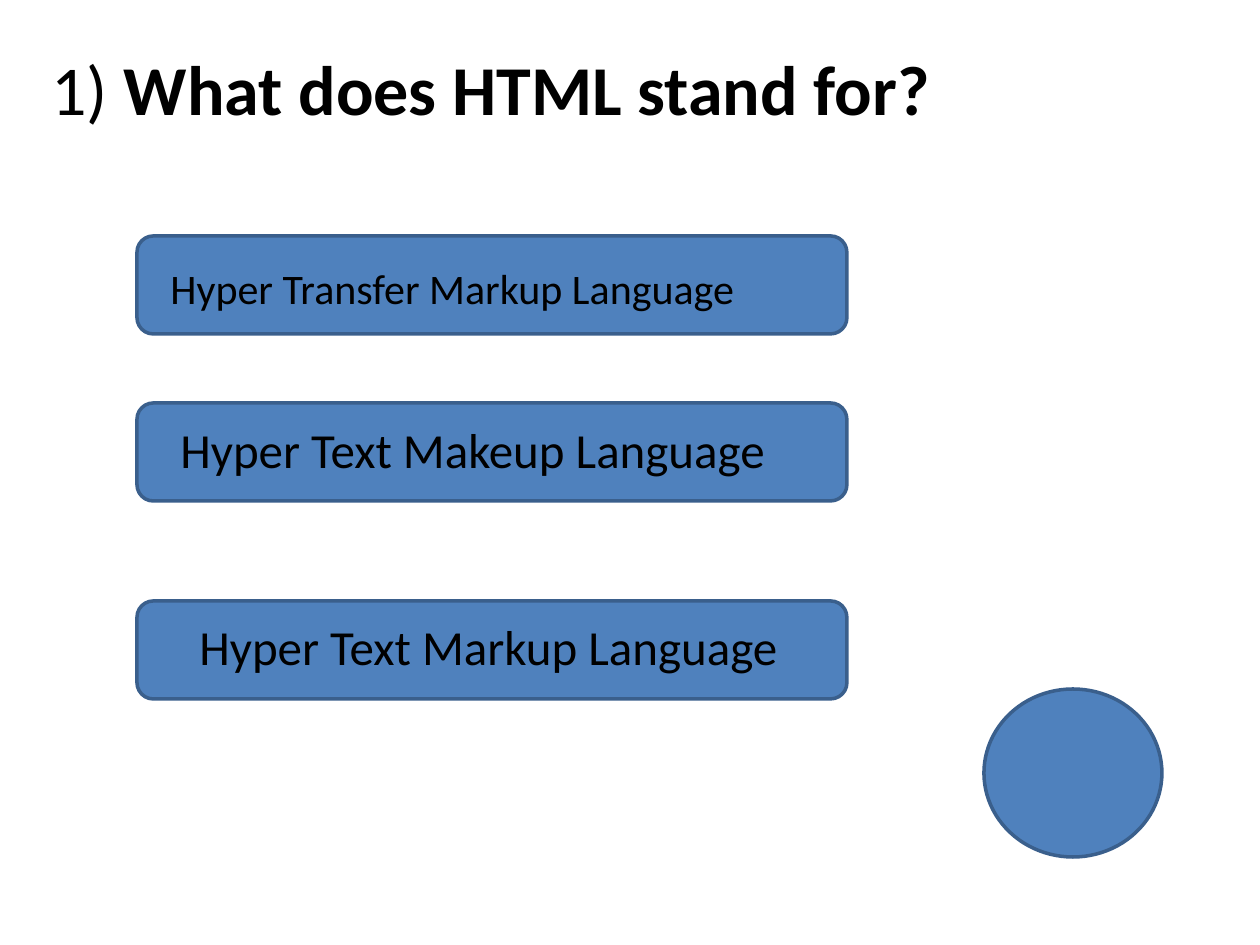
from pptx import Presentation
from pptx.dml.color import RGBColor
from pptx.enum.shapes import MSO_SHAPE
from pptx.util import Emu, Pt

ROUNDED = MSO_SHAPE.ROUNDED_RECTANGLE
OVAL = MSO_SHAPE.OVAL

PX = 914400 // 126
FONT = "Calibri"
BLACK, BLUE, EDGE = "000000", "4F81BD", "3A5F8C"

TITLE = [("1)", False), (" What does HTML stand for?", True)]
TITLE_BOX = (39, 39, 1142, 97)
BAR_LEFT, BAR_WIDTH, BAR_HEIGHT = 137, 710, 98
ANSWERS = [
    ("Hyper Transfer Markup Language", 24, 236, (158, 256, 767, 63)),
    ("Hyper Text Makeup Language", 28, 403, (168, 413, 808, 72)),
    ("Hyper Text Markup Language", 28, 601, (187, 610, 827, 72)),
]
CIRCLE = (984, 689, 178, 168)


def px(box):
    return [Emu(v * PX) for v in box]


def rgb(color):
    return RGBColor.from_string(color)


def add_shape(s, kind, box):
    sp = s.shapes.add_shape(kind, *px(box))
    sp.shadow.inherit = False
    sp.fill.solid()
    sp.fill.fore_color.rgb = rgb(BLUE)
    sp.line.color.rgb = rgb(EDGE)
    sp.line.width = Pt(2)


def add_text(s, box, runs, size):
    tf = s.shapes.add_textbox(*px(box)).text_frame
    tf.word_wrap = True
    p = tf.paragraphs[0]
    p.font.name = FONT
    p.font.size = Pt(size)
    p.font.color.rgb = rgb(BLACK)
    for text, bold in runs:
        r = p.add_run()
        r.text = text
        r.font.bold = bold


prs = Presentation()
prs.slide_width, prs.slide_height = px((1260, 945))
s = prs.slides.add_slide(prs.slide_layouts[6])

add_text(s, TITLE_BOX, TITLE, 40)
for text, size, top, box in ANSWERS:
    add_shape(s, ROUNDED, (BAR_LEFT, top, BAR_WIDTH, BAR_HEIGHT))
    add_text(s, box, [(text, False)], size)
add_shape(s, OVAL, CIRCLE)

prs.save("out.pptx")
